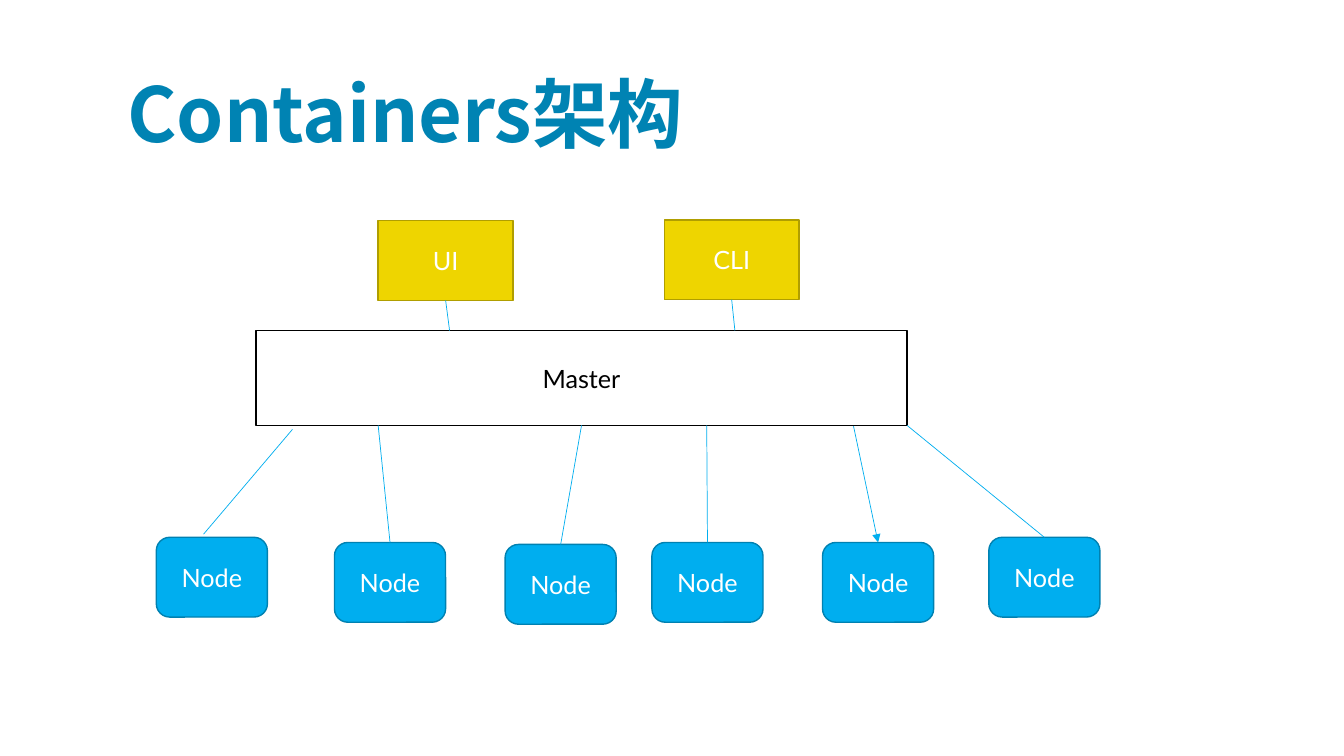
import pptx
import pptx.util
import pptx.dml.color
import pptx.enum.shapes
import pptx.enum.text
import pptx.oxml.ns
import lxml.etree

Cm = pptx.util.Cm
Pt = pptx.util.Pt
SHAPES = pptx.enum.shapes.MSO_SHAPE
ALIGN = pptx.enum.text.PP_ALIGN
ANCHOR = pptx.enum.text.MSO_ANCHOR

COLOURS = {
    "title": "0083B3",
    "white": "FFFFFF",
    "black": "000000",
    "client": "EED500",
    "client_edge": "B09E00",
    "node": "00AEEF",
    "node_edge": "0081B1",
}

HEADING = "Containers架构"
HEADING_BOX = (2.95, 1.47, 24.13, 2.64)
MASTER_BOX = (6.45, 8.33, 16.41, 2.39)
CLIENT_SIZE = (3.4, 2.01)
NODE_SIZE = (2.8, 2.01)

CLIENTS = [
    {"label": "UI", "at": (9.53, 5.56), "master_x": 11.33},
    {"label": "CLI", "at": (16.74, 5.54), "master_x": 18.52},
]
NODES = [
    {"at": (3.94, 13.54), "start": (7.37, 10.82), "loose_end": (5.13, 13.46)},
    {"at": (8.43, 13.67), "start": (9.53, 10.72)},
    {"at": (12.73, 13.72), "from_middle": True},
    {"at": (16.43, 13.67), "start": (17.81, 10.72)},
    {"at": (20.73, 13.67), "start": (21.51, 10.74), "arrow": True},
    {"at": (24.92, 13.54), "start": (22.86, 10.72)},
]


def colour(name):
    return pptx.dml.color.RGBColor.from_string(COLOURS[name])


def write(frame, text, size=18, font="Lato", ink="white", bold=False,
          align=ALIGN.CENTER, anchor=ANCHOR.MIDDLE):
    frame.word_wrap = True
    frame.auto_size = pptx.enum.text.MSO_AUTO_SIZE.NONE
    frame.vertical_anchor = anchor
    paragraph = frame.paragraphs[0]
    paragraph.alignment = align
    run = paragraph.add_run()
    run.text = text
    run.font.size = Pt(size)
    run.font.name = font
    run.font.bold = bold
    run.font.color.rgb = colour(ink)
    east_asian = lxml.etree.SubElement(
        run.font._element, pptx.oxml.ns.qn("a:ea"))
    east_asian.set("typeface", font)


def add_box(slide, kind, box, text, fill, edge, ink="white"):
    block = slide.shapes.add_shape(kind, *map(Cm, box))
    block.shadow.inherit = False
    block.fill.solid()
    block.fill.fore_color.rgb = colour(fill)
    block.line.color.rgb = colour(edge)
    block.line.width = Pt(1)
    write(block.text_frame, text, ink=ink)
    return block


def add_link(slide, start, end, arrow=False):
    link = slide.shapes.add_connector(
        pptx.enum.shapes.MSO_CONNECTOR.STRAIGHT, *map(Cm, start + end))
    link.line.color.rgb = colour("node")
    link.line.width = Pt(0.5)
    if arrow:
        head = lxml.etree.SubElement(
            link.line._get_or_add_ln(), pptx.oxml.ns.qn("a:tailEnd"))
        head.set("type", "triangle")
    lxml.etree.SubElement(
        link._element.spPr, pptx.oxml.ns.qn("a:effectLst"))
    return link


def main():
    deck = pptx.Presentation()
    deck.slide_width = Cm(33.87)
    deck.slide_height = Cm(19.05)
    slide = deck.slides.add_slide(deck.slide_layouts[5])

    heading = slide.shapes.title
    heading.left, heading.top, heading.width, heading.height = map(
        Cm, HEADING_BOX)
    write(heading.text_frame, HEADING, size=54, font="Noto Sans CJK SC",
          ink="title", bold=True, align=ALIGN.LEFT, anchor=ANCHOR.BOTTOM)

    master = add_box(slide, SHAPES.RECTANGLE, MASTER_BOX, "Master",
                     "white", "black", ink="black")
    master_left, master_top, master_width, master_height = MASTER_BOX
    master_middle = (master_left + master_width / 2,
                     master_top + master_height)

    for client in CLIENTS:
        left, top = client["at"]
        width, height = CLIENT_SIZE
        client_box = add_box(slide, SHAPES.RECTANGLE,
                             client["at"] + CLIENT_SIZE, client["label"],
                             "client", "client_edge")
        link = add_link(slide, (left + width / 2, top + height),
                        (client["master_x"], master_top))
        link.begin_connect(client_box, 2)

    for node in NODES:
        left, top = node["at"]
        node_box = add_box(slide, SHAPES.ROUNDED_RECTANGLE,
                           node["at"] + NODE_SIZE, "Node",
                           "node", "node_edge")
        node_top = (left + NODE_SIZE[0] / 2, top)
        link = add_link(slide, node.get("start", master_middle),
                        node.get("loose_end", node_top),
                        arrow=node.get("arrow", False))
        if node.get("from_middle"):
            link.begin_connect(master, 2)
        if "loose_end" not in node:
            link.end_connect(node_box, 0)

    deck.save("out.pptx")


if __name__ == "__main__":
    main()
